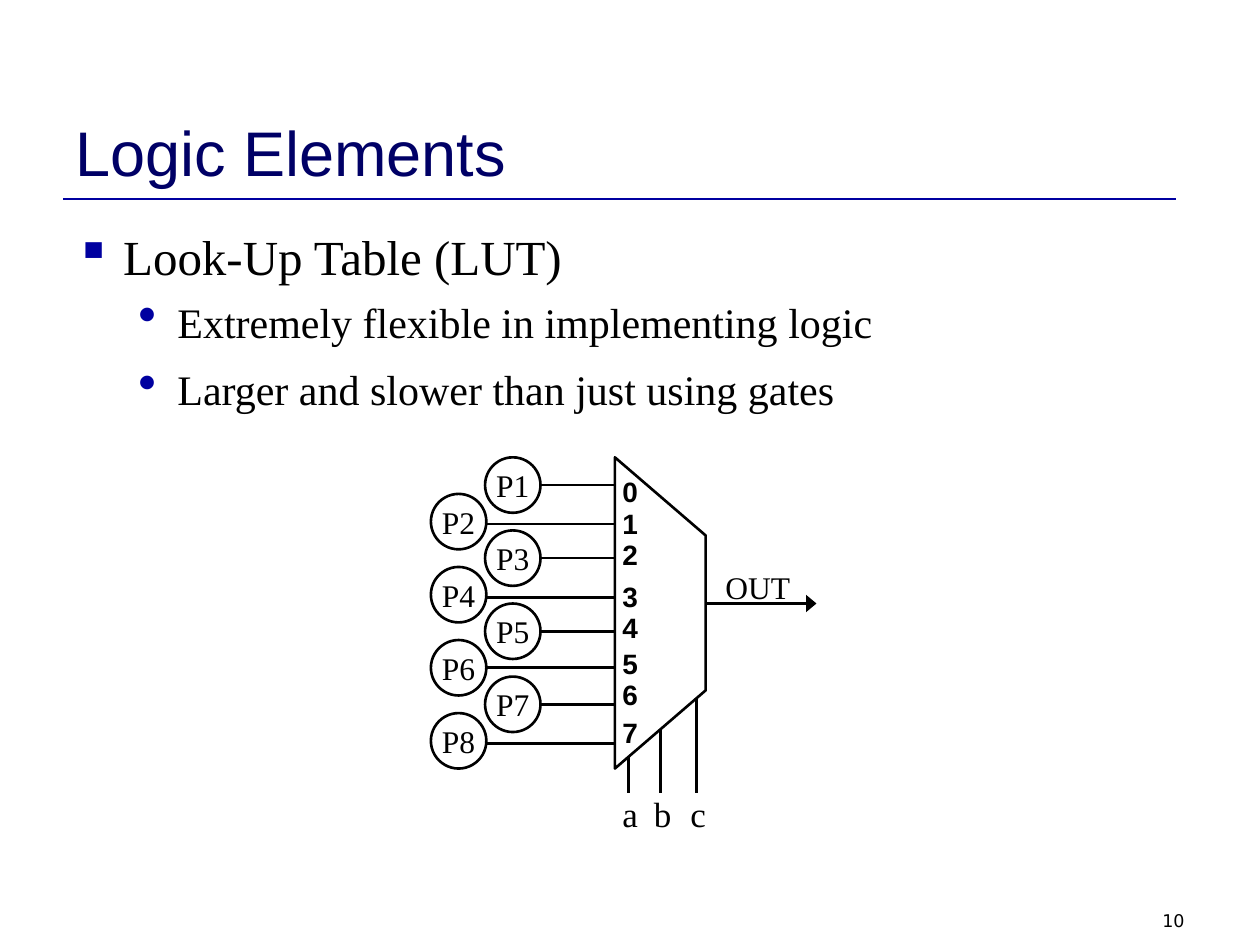
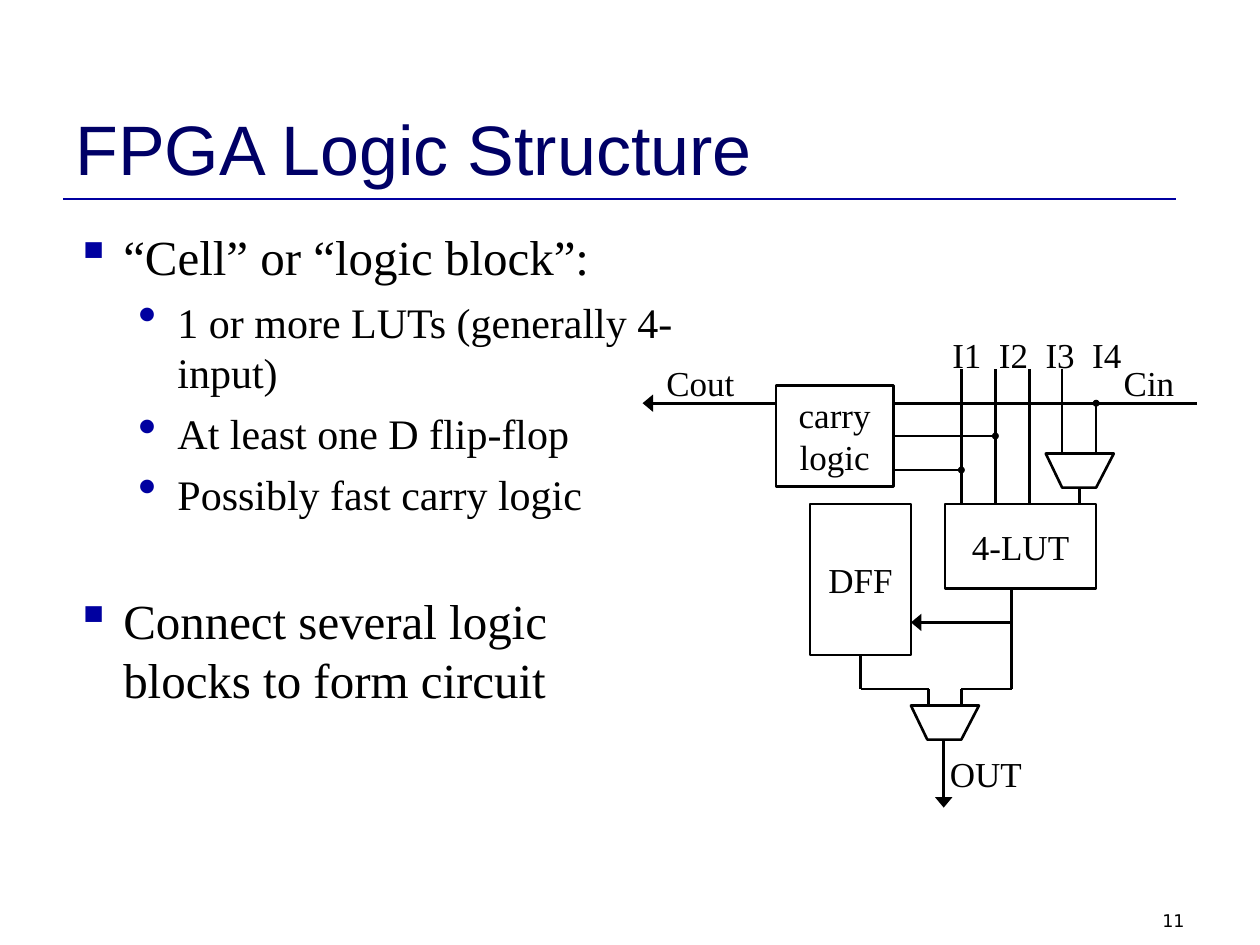
from lxml.etree import SubElement
from pptx import Presentation
from pptx.dml.color import RGBColor
from pptx.enum.shapes import MSO_CONNECTOR, MSO_SHAPE
from pptx.enum.text import MSO_ANCHOR, MSO_AUTO_SIZE, PP_ALIGN
from pptx.oxml.ns import qn
from pptx.util import Inches, Pt

COLORS = {"ink": "000000", "title": "000066", "accent": "0000A0"}
SERIF, SANS, FOOTER = "Times New Roman", "Arial", "DejaVu Sans"
LINE_WIDTH = Pt(1.5)
BULLETS = [("▪", "100000", 0.38, -0.38, 28), ("•", "125000", 0.81, -0.31, 24)]
MARK_SIZES = {"triangle": {"w": "lg", "len": "med"}, "oval": {"w": "sm", "len": "sm"}}


def color(name):
    """Return a palette colour."""
    return RGBColor.from_string(COLORS[name])


def style(paragraph, size, font=SERIF, ink="ink", align=PP_ALIGN.LEFT, bold=False):
    """Set the alignment and font of a paragraph."""
    paragraph.alignment = align
    paragraph.font.size = Pt(size)
    paragraph.font.name = font
    paragraph.font.bold = bold
    paragraph.font.color.rgb = color(ink)


def add_text(slide, box, text, size, anchor=MSO_ANCHOR.TOP, **look):
    """Add a wrapping text box with one paragraph."""
    frame = slide.shapes.add_textbox(*map(Inches, box)).text_frame
    frame.word_wrap = True
    frame.vertical_anchor = anchor
    frame.text = text
    style(frame.paragraphs[0], size, **look)
    return frame


def add_label(slide, left, top, width, height, text, size=20, **look):
    """Add a one-line label that fits its text."""
    frame = add_text(slide, (left, top, width, height), text, size, **look)
    frame.word_wrap = False
    frame.auto_size = MSO_AUTO_SIZE.SHAPE_TO_FIT_TEXT


def outline(shape):
    """Give a shape a plain black outline without fill."""
    shape.shadow.inherit = False
    shape.fill.background()
    shape.line.color.rgb = color("ink")
    shape.line.width = LINE_WIDTH


def add_block(slide, kind, box, text, size=20, wrap=False):
    """Add an outlined shape with centred text."""
    block = slide.shapes.add_shape(kind, *map(Inches, box))
    outline(block)
    frame = block.text_frame
    frame.word_wrap = wrap
    frame.vertical_anchor = MSO_ANCHOR.MIDDLE
    frame.text = text
    style(frame.paragraphs[0], size, align=PP_ALIGN.CENTER)
    return block


def add_mux(slide, corners):
    """Add a multiplexer outline through its corners."""
    start, *others = [(Inches(x), Inches(y)) for x, y in corners]
    builder = slide.shapes.build_freeform(*start, scale=1.0)
    builder.add_line_segments(others, close=True)
    outline(builder.convert_to_shape())


def add_small_mux(slide, left, top):
    """Add a downward multiplexer with two inputs."""
    add_mux(slide, [(left, top), (left + 0.13, top + 0.27),
                    (left + 0.4, top + 0.27), (left + 0.54, top)])


def add_wire(slide, x1, y1, x2, y2, head=None, tail=None, ink="ink"):
    """Add a straight wire with optional end marks."""
    wire = slide.shapes.add_connector(MSO_CONNECTOR.STRAIGHT, *map(Inches, (x1, y1, x2, y2)))
    wire.line.color.rgb = color(ink)
    wire.line.width = LINE_WIDTH
    properties = wire.element.spPr
    for tag, mark in (("a:headEnd", head), ("a:tailEnd", tail)):
        if mark:
            SubElement(properties.find(qn("a:ln")), qn(tag), type=mark, **MARK_SIZES[mark])
    SubElement(properties, qn("a:effectLst"))
    return wire


def add_bullets(slide, width, items):
    """Add the bullet list from (level, space before, text) items."""
    frame = slide.shapes.add_textbox(*map(Inches, (0.5, 1.75, width, 5.42))).text_frame
    frame.word_wrap = True
    for index, (level, space, text) in enumerate(items):
        paragraph = frame.add_paragraph() if index else frame.paragraphs[0]
        mark, mark_size, margin, indent, size = BULLETS[level]
        paragraph.text = text
        paragraph.level = level
        paragraph.space_before = Pt(space)
        properties = paragraph._p.get_or_add_pPr()
        properties.set("marL", str(Inches(margin)))
        properties.set("indent", str(Inches(indent)))
        SubElement(SubElement(properties, qn("a:buClr")), qn("a:srgbClr"), val=COLORS["accent"])
        SubElement(properties, qn("a:buSzPct"), val=mark_size)
        SubElement(properties, qn("a:buChar"), char=mark)
        style(paragraph, size)


def add_page(deck, title, title_size, number):
    """Add a slide with its title, rule and page number."""
    slide = deck.slides.add_slide(deck.slide_layouts[6])
    add_wire(slide, 0.5, 1.58, 9.33, 1.58, ink="accent")
    add_text(slide, (7.17, 7.17, 2.33, 0.25), str(number), 10, font=FOOTER, align=PP_ALIGN.RIGHT)
    add_text(slide, (0.5, 0.3, 9, 1.25), title, title_size, anchor=MSO_ANCHOR.BOTTOM,
             font=SANS, ink="title")
    return slide


def build_logic_elements(deck):
    """Build the look-up table slide."""
    slide = add_page(deck, "Logic Elements", 36, 10)
    add_bullets(slide, 9, [
        (0, 0, "Look-Up Table (LUT)"),
        (1, 6, "Extremely flexible in implementing logic"),
        (1, 10, "Larger and slower than just using gates"),
    ])
    diameter, mux_left, mux_right = 0.44, 4.88, 5.6
    add_mux(slide, [(mux_left, 6.1), (mux_right, 5.48), (mux_right, 4.25), (mux_left, 3.63)])
    wire_heights = [3.85, 4.16, 4.43, 4.74, 5.01, 5.3, 5.59, 5.9]
    digit_tops = [3.72, 3.97, 4.22, 4.55, 4.8, 5.08, 5.33, 5.63]
    for index, (height, digit_top) in enumerate(zip(wire_heights, digit_tops)):
        left = 3.42 if index % 2 else 3.85
        add_block(slide, MSO_SHAPE.OVAL, (left, 3.63 + 0.29 * index, diameter, diameter),
                  f"P{index + 1}", size=18)
        add_wire(slide, left + diameter, height, mux_left, height)
        add_label(slide, 4.84, digit_top, 0.32, 0.37, str(index), size=16,
                  font=SANS, bold=True, align=PP_ALIGN.CENTER)
    selects = [("a", 4.99, 6.01, 4.84), ("b", 5.24, 5.79, 5.09), ("c", 5.53, 5.55, 5.38)]
    for name, x, top, label_left in selects:
        add_wire(slide, x, top, x, 6.29)
        add_label(slide, label_left, 6.24, 0.32, 0.44, name)
    add_wire(slide, mux_right, 4.79, 6.48, 4.79, tail="triangle")
    add_label(slide, 5.66, 4.46, 0.8, 0.4, "OUT", size=18)


def build_logic_structure(deck):
    """Build the logic block slide."""
    slide = add_page(deck, "FPGA Logic Structure", 40, 11)
    add_bullets(slide, 4.95, [
        (0, 0, "“Cell” or “logic block”:"),
        (1, 6, "1 or more LUTs (generally 4-input)"),
        (1, 6, "At least one D flip-flop"),
        (1, 6, "Possibly fast carry logic"),
        (0, 41, "Connect several logic blocks to form circuit"),
    ])
    add_block(slide, MSO_SHAPE.RECTANGLE, (7.5, 4, 1.2, 0.67), "4-LUT")
    carry = add_block(slide, MSO_SHAPE.RECTANGLE, (6.16, 3.06, 0.93, 0.8), "carry logic", wrap=True)
    flip_flop = add_block(slide, MSO_SHAPE.RECTANGLE, (6.43, 4, 0.8, 1.2), "DFF")
    add_small_mux(slide, 8.3, 3.6)
    add_small_mux(slide, 7.23, 5.6)

    for index, (x, bottom) in enumerate([(7.63, 4), (7.9, 4), (8.17, 4), (8.43, 3.6)]):
        add_wire(slide, x, 2.93, x, bottom)
        add_label(slide, 7.46 + 0.37 * index, 2.6, 0.46, 0.44, f"I{index + 1}")
    plain_wires = [
        (8.57, 3.87, 8.57, 4), (8.7, 3.6, 8.7, 3.2), (8.7, 3.2, 9.5, 3.2),
        (8.03, 4.67, 8.03, 5.47), (8.03, 5.47, 7.63, 5.47), (7.63, 5.47, 7.63, 5.6),
        (6.83, 5.47, 7.37, 5.47), (7.37, 5.47, 7.37, 5.6),
    ]
    for ends in plain_wires:
        add_wire(slide, *ends)
    add_wire(slide, 6.83, 5.2, 6.83, 5.47).begin_connect(flip_flop, 2)
    add_wire(slide, 8.7, 3.2, 7.09, 3.2, head="oval")
    add_wire(slide, 7.9, 3.46, 7.09, 3.46, head="oval").end_connect(carry, 3)
    add_wire(slide, 7.63, 3.73, 7.09, 3.73, head="oval")
    for ends in [(6.16, 3.2, 5.1, 3.2), (8.03, 4.94, 7.23, 4.94), (7.49, 5.88, 7.49, 6.41)]:
        add_wire(slide, *ends, tail="triangle")

    add_label(slide, 5.19, 2.82, 0.74, 0.44, "Cout")
    add_label(slide, 8.82, 2.82, 0.6, 0.44, "Cin")
    add_label(slide, 7.44, 5.92, 0.77, 0.44, "OUT")


def main():
    """Build and save the deck."""
    deck = Presentation()
    deck.slide_width, deck.slide_height = Inches(10), Inches(7.5)
    build_logic_elements(deck)
    build_logic_structure(deck)
    deck.save("out.pptx")


if __name__ == "__main__":
    main()
